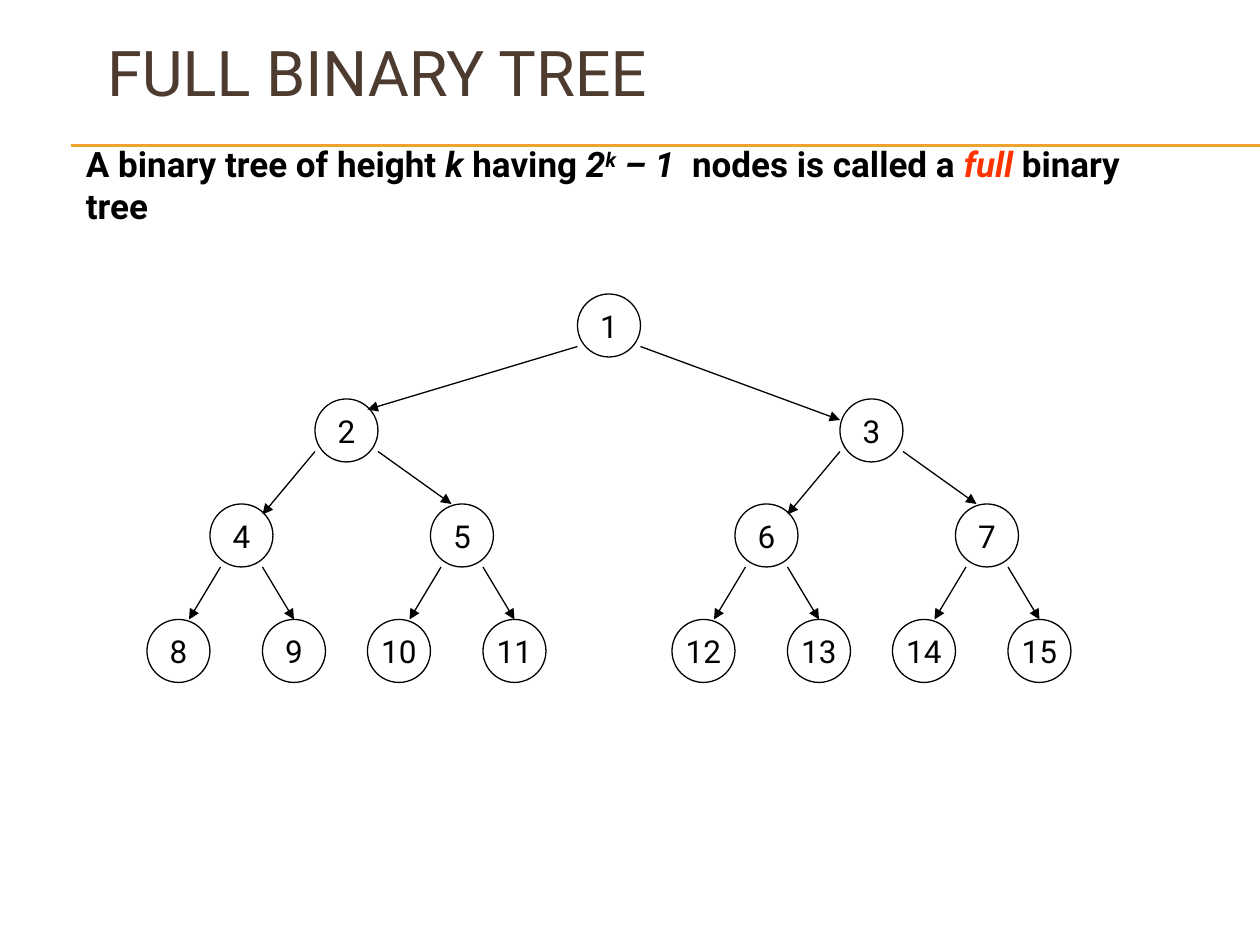
from dataclasses import dataclass

from lxml import etree
from pptx import Presentation
from pptx import util as u
from pptx.dml.color import RGBColor
from pptx.enum import shapes, text
from pptx.oxml.ns import qn


@dataclass(frozen=True)
class Theme:
    font: str = "Roboto"
    ink: str = "000000"
    head: str = "4E3B30"
    rule: str = "F0A22E"
    mark: str = "FF3300"
    title: int = 36
    body: int = 20
    label: int = 18
    line: float = 0.75


T = Theme()
WIDE, HIGH = 10, 7.5
UNIT = 1 / 12
SIZE = 6
LEVELS = [
    (10, [(-25, (0, 5), (-20, 11)), (25, (6, 5), (25, 12))]),
    (10, [(-10, (0, 5), (-5, 11)), (11, (6, 5), (13, 10))]),
    (11, [(-6, (1, 6), (-2, 11)), (5, (5, 6), (8, 11))]),
]


def grid(*cells):
    return [u.Inches(cell * UNIT) for cell in cells]


def share(x, y, w, h):
    return [u.Inches(part * side) for part, side in
            zip((x, y, w, h), (WIDE, HIGH, WIDE, HIGH))]


def tint(name):
    return RGBColor.from_string(name)


def write(para, words, size=T.body, color=T.ink, bold=None, italic=None, lift=0):
    run = para.add_run()
    run.text = words
    font = run.font
    font.name, font.size = T.font, u.Pt(size)
    font.bold, font.italic = bold, italic
    font.color.rgb = tint(color)
    if lift:
        run._r.get_or_add_rPr().set("baseline", str(lift * 1000))


def stroke(pool, start, end, color=T.ink, arrow=False):
    link = pool.add_connector(shapes.MSO_CONNECTOR.STRAIGHT, *start, *end)
    link.line.color.rgb = tint(color)
    link.line.width = u.Pt(T.line)
    if arrow:
        etree.SubElement(link.line._get_or_add_ln(), qn("a:tailEnd"), type="triangle")
    etree.SubElement(link._element.spPr, qn("a:effectLst"))


def node(pool, x, y, name):
    ball = pool.add_shape(shapes.MSO_SHAPE.OVAL, *grid(x, y, SIZE, SIZE))
    ball.shadow.inherit = False
    ball.fill.background()
    ball.line.color.rgb = tint(T.ink)
    ball.line.width = u.Pt(T.line)
    frame = ball.text_frame
    frame.word_wrap = False
    frame.vertical_anchor = text.MSO_ANCHOR.MIDDLE
    para = frame.paragraphs[0]
    para.alignment = text.PP_ALIGN.CENTER
    write(para, str(name), size=T.label)


def tree(pool, x, y, name=1, depth=0):
    node(pool, x, y, name)
    if depth == len(LEVELS):
        return
    drop, sides = LEVELS[depth]
    for side, (shift, start, end) in enumerate(sides):
        stroke(pool, grid(x + start[0], y + start[1]),
               grid(x + end[0], y + end[1]), arrow=True)
        tree(pool, x + shift, y + drop, 2 * name + side, depth + 1)


def title(slide, words):
    head = slide.shapes.title
    head.left, head.top, head.width, head.height = share(0.075, 0.02, 0.85, 0.11)
    frame = head.text_frame
    frame.vertical_anchor = text.MSO_ANCHOR.MIDDLE
    para = frame.paragraphs[0]
    para.alignment = text.PP_ALIGN.LEFT
    write(para, words, size=T.title, color=T.head)


def claim(slide, parts):
    frame = slide.shapes.add_textbox(*grid(7, 13, 105, 5)).text_frame
    frame.word_wrap = True
    for words, form in parts:
        write(frame.paragraphs[0], words, bold=True, **form)


def main():
    deck = Presentation()
    deck.slide_width, deck.slide_height = u.Inches(WIDE), u.Inches(HIGH)
    slide = deck.slides.add_slide(deck.slide_layouts[5])
    for y in (1.15, 1.16):
        stroke(slide.shapes, (u.Inches(0.56), u.Inches(y)),
               (u.Inches(WIDE), u.Inches(y)), color=T.rule)
    title(slide, "FULL BINARY TREE")
    slant = {"italic": True}
    claim(slide, [
        ("A binary tree of height ", {}),
        ("k", slant),
        (" having ", {}),
        ("2", slant),
        ("k", {**slant, "lift": 30}),
        (" – 1", slant),
        ("  nodes is called a ", {}),
        ("full ", {**slant, "color": T.mark}),
        ("binary tree", {}),
    ])
    tree(slide.shapes.add_group_shape().shapes, 55, 28)
    deck.save("out.pptx")


if __name__ == "__main__":
    main()
